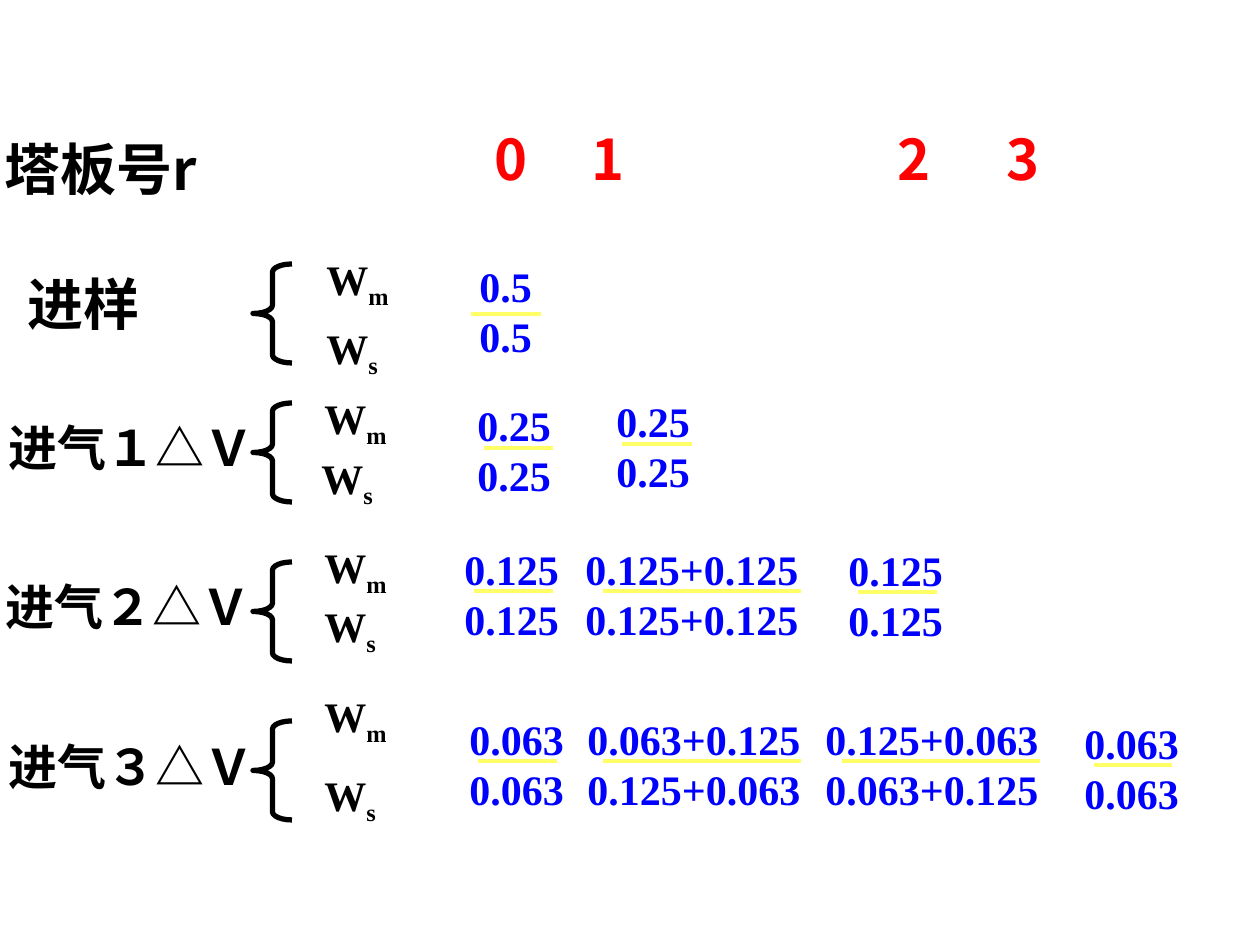
"""Build the plate-number distribution slide."""
from lxml import etree
from pptx import Presentation
from pptx.dml.color import RGBColor
from pptx.enum.shapes import MSO_CONNECTOR, MSO_SHAPE
from pptx.enum.text import MSO_AUTO_SIZE
from pptx.oxml.ns import qn
from pptx.util import Emu, Pt

LINE = MSO_CONNECTOR.STRAIGHT
BRACE = MSO_SHAPE.LEFT_BRACE
FIT = MSO_AUTO_SIZE.SHAPE_TO_FIT_TEXT
SCALE = 914400 // 126
SERIF, SANS = "Times New Roman", "Noto Sans CJK SC"
BLACK, BLUE, RED, YELLOW = "000000", "0000FF", "FF0000", "FFFF66"

# text, left, top, width, height, size, font, colour
HEADS = [
    ("塔板号r", -8, 128, 241, 81, 32, SANS, BLACK),
    ("0", 482, 118, 58, 81, 32, SANS, RED),
    ("1", 579, 118, 58, 81, 32, SANS, RED),
    ("2", 885, 118, 58, 81, 32, SANS, RED),
    ("3", 994, 118, 58, 81, 32, SANS, RED),
    ("进样", 15, 263, 198, 147, 32, SERIF, BLACK),
    ("进气１△Ｖ", -4, 411, 270, 72, 28, SERIF, BLACK),
    ("进气２△Ｖ", -7, 570, 270, 131, 28, SERIF, BLACK),
    ("进气３△Ｖ", -4, 730, 270, 131, 28, SERIF, BLACK),
]
# subscript, left, top
WEIGHTS = [
    ("m", 314, 247), ("s", 314, 316),
    ("m", 312, 386), ("s", 309, 446),
    ("m", 312, 535), ("s", 312, 594),
    ("m", 312, 684), ("s", 312, 763),
]
WIDTHS = {"m": 96, "s": 84}
# upper, lower, left, top, width, rule start, rule end, rule height
PAIRS = [
    ("0.5", "0.5", 467, 254, 84, 471, 541, 314),
    ("0.25", "0.25", 465, 393, 107, 484, 553, 448),
    ("0.125", "0.125", 452, 537, 131, 474, 553, 591),
    ("0.063", "0.063", 457, 707, 131, 478, 557, 761),
    ("0.125+0.125", "0.125+0.125", 573, 537, 261, 603, 801, 591),
    ("0.063+0.125", "0.125+0.063", 575, 707, 261, 603, 801, 761),
    ("0.125+0.063", "0.063+0.125", 813, 707, 261, 842, 1040, 761),
    ("0.25", "0.25", 604, 389, 107, 622, 692, 444),
    ("0.125", "0.125", 836, 538, 131, 858, 937, 592),
    ("0.063", "0.063", 1072, 711, 131, 1094, 1172, 765),
]
BRACES = [264, 403, 562, 721]


def px(n):
    return Emu(n * SCALE)


def rgb(code):
    return RGBColor.from_string(code)


def style(para, size, face, color):
    font = para.font
    font.size, font.bold, font.name = Pt(size), True, face
    font.color.rgb = rgb(color)
    props = para._p.pPr.find(qn("a:defRPr"))
    etree.SubElement(props, qn("a:ea")).set("typeface", SANS)


def text(shapes, lines, box, size, face, color):
    frame = shapes.add_textbox(*map(px, box)).text_frame
    frame.word_wrap = False
    frame.auto_size = FIT
    frame.text = "\n".join(lines)
    for para in frame.paragraphs:
        style(para, size, face, color)
    return frame


def weight(shapes, sub, left, top):
    box = left, top, WIDTHS[sub], 71
    frame = text(shapes, ["W"], box, 24, SERIF, BLACK)
    run = frame.paragraphs[0].add_run()
    run.text = sub
    run._r.get_or_add_rPr().set("baseline", "-25000")


def pair(shapes, upper, lower, left, top, width, start, end, level):
    box = left, top, width, 113
    text(shapes, [upper, lower], box, 24, SERIF, BLUE)
    rule = shapes.add_connector(LINE, px(start), px(level), px(end), px(level))
    rule.line.color.rgb = rgb(YELLOW)
    rule.line.width = Pt(2.25)
    etree.SubElement(rule._element.spPr, qn("a:effectLst"))


def brace(shapes, top):
    shape = shapes.add_shape(BRACE, px(253), px(top), px(39), px(99))
    shape.adjustments[0] = 0.21
    shape.shadow.inherit = False
    shape.fill.background()
    shape.line.color.rgb = rgb(BLACK)
    shape.line.width = Pt(3)


def main():
    deck = Presentation()
    deck.slide_width, deck.slide_height = px(1260), px(945)
    shapes = deck.slides.add_slide(deck.slide_layouts[6]).shapes
    for item in WEIGHTS:
        weight(shapes, *item)
    for item in PAIRS:
        pair(shapes, *item)
    for top in BRACES:
        brace(shapes, top)
    for word, left, top, width, height, size, face, color in HEADS:
        text(shapes, [word], (left, top, width, height), size, face, color)
    deck.save("out.pptx")


if __name__ == "__main__":
    main()
